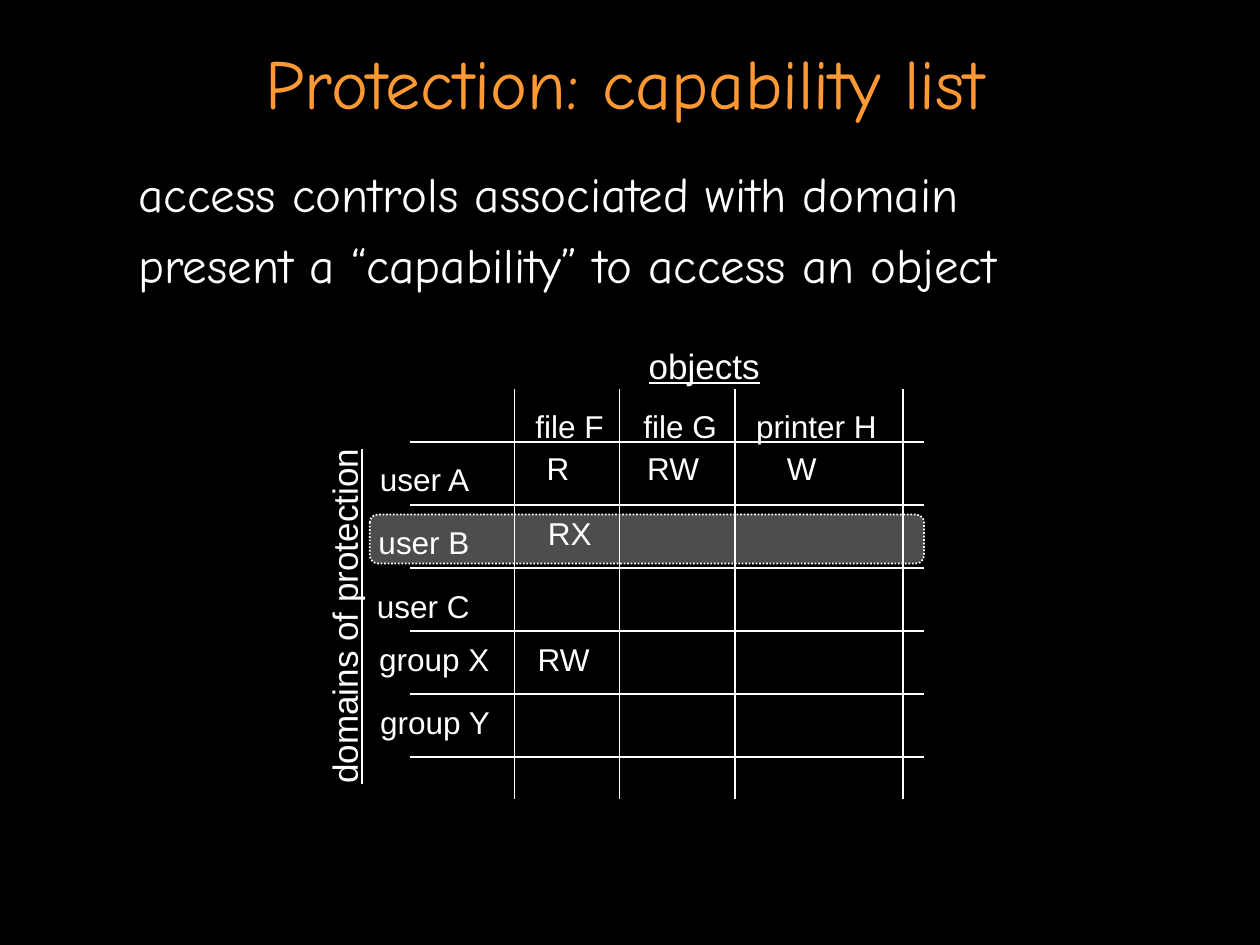
import pptx
import pptx.util
import pptx.dml.color
import pptx.enum.dml
import pptx.enum.shapes
import pptx.enum.text
from lxml import etree

Pt = pptx.util.Pt
WHITE = "FFFFFF"
TITLE = "Protection: capability list"
BODY = ["access controls associated with domain",
        "present a “capability” to access an object"]
HEADS = [("file F", 298.8, 54), ("file G", 360.5, 57),
         ("printer H", 424.9, 85)]
USERS = [("user A", 210, 259.2, 68), ("user B", 209.2, 295.2, 68),
         ("user C", 208.3, 332.2, 69), ("group X", 209.5, 362.2, 79),
         ("group Y", 210.2, 398.2, 79)]
RIGHTS = [("R", 305.3, 253, 29), ("RW", 362.7, 253, 46),
          ("W", 442.6, 253, 33), ("RX", 306, 290.2, 41),
          ("RW", 300.2, 362.2, 46)]
COLS = [294, 354, 420, 516]
TOP, BOTTOM = 222.5, 456.5
LEFT, RIGHT = 234, 527.8
FIRST, STEP, ROWS = 252.5, 36, 6

deck = pptx.Presentation()
deck.slide_width, deck.slide_height = Pt(720), Pt(540)
slide = deck.slides.add_slide(deck.slide_layouts[6])


def color(code):
    return pptx.dml.color.RGBColor.from_string(code)


def write(text, x, y, w, h=28.8, size=18, font="Arial", ink=WHITE,
          under=False, turn=0, wrap=False, center=False, gap=0):
    box = slide.shapes.add_textbox(Pt(x), Pt(y), Pt(w), Pt(h))
    box.rotation = turn
    frame = box.text_frame
    frame.word_wrap = wrap
    if not wrap:
        frame.auto_size = pptx.enum.text.MSO_AUTO_SIZE.SHAPE_TO_FIT_TEXT
    if center:
        frame.vertical_anchor = pptx.enum.text.MSO_ANCHOR.MIDDLE
    frame.text = text
    for i, para in enumerate(frame.paragraphs):
        if center:
            para.alignment = pptx.enum.text.PP_ALIGN.CENTER
        if i:
            para.space_before = Pt(gap)
        for run in para.runs:
            run.font.size = Pt(size)
            run.font.name = font
            run.font.color.rgb = color(ink)
            run.font.underline = under


def rule(x1, y1, x2, y2):
    line = slide.shapes.add_connector(
        pptx.enum.shapes.MSO_CONNECTOR.STRAIGHT, Pt(x1), Pt(y1), Pt(x2), Pt(y2))
    line.line.color.rgb = color(WHITE)
    line.line.width = Pt(1)
    props = line._element.spPr
    etree.SubElement(props, pptx.oxml.ns.qn("a:effectLst"))


slide.background.fill.solid()
slide.background.fill.fore_color.rgb = color("000000")

band = slide.shapes.add_shape(
    pptx.enum.shapes.MSO_SHAPE.FLOWCHART_ALTERNATE_PROCESS,
    Pt(211.3), Pt(294), Pt(316.8), Pt(28))
band.shadow.inherit = False
band.fill.solid()
band.fill.fore_color.rgb = color("4D4D4D")
band.line.color.rgb = color(WHITE)
band.line.width = Pt(1)
band.line.dash_style = pptx.enum.dml.MSO_LINE.ROUND_DOT

write(TITLE, 18, 21.6, 678.2, 50.4, size=40, font="Comic Neue",
      ink="FF9933", wrap=True, center=True)
write("\n".join(BODY), 72, 90, 612, 408, size=28, font="Comic Neue",
      wrap=True, gap=7)
write("objects", 363.6, 193.3, 78, 31.7, size=20, under=True)
write("domains of protection", 93.8, 336.2, 206, 31.7, size=20,
      under=True, turn=270)

for x in COLS:
    rule(x, TOP, x, BOTTOM)
for i in range(ROWS):
    y = FIRST + i * STEP
    rule(LEFT, y, RIGHT, y)
for text, x, w in HEADS:
    write(text, x, 229, w)
for text, x, y, w in USERS + RIGHTS:
    write(text, x, y, w)

deck.save("out.pptx")
